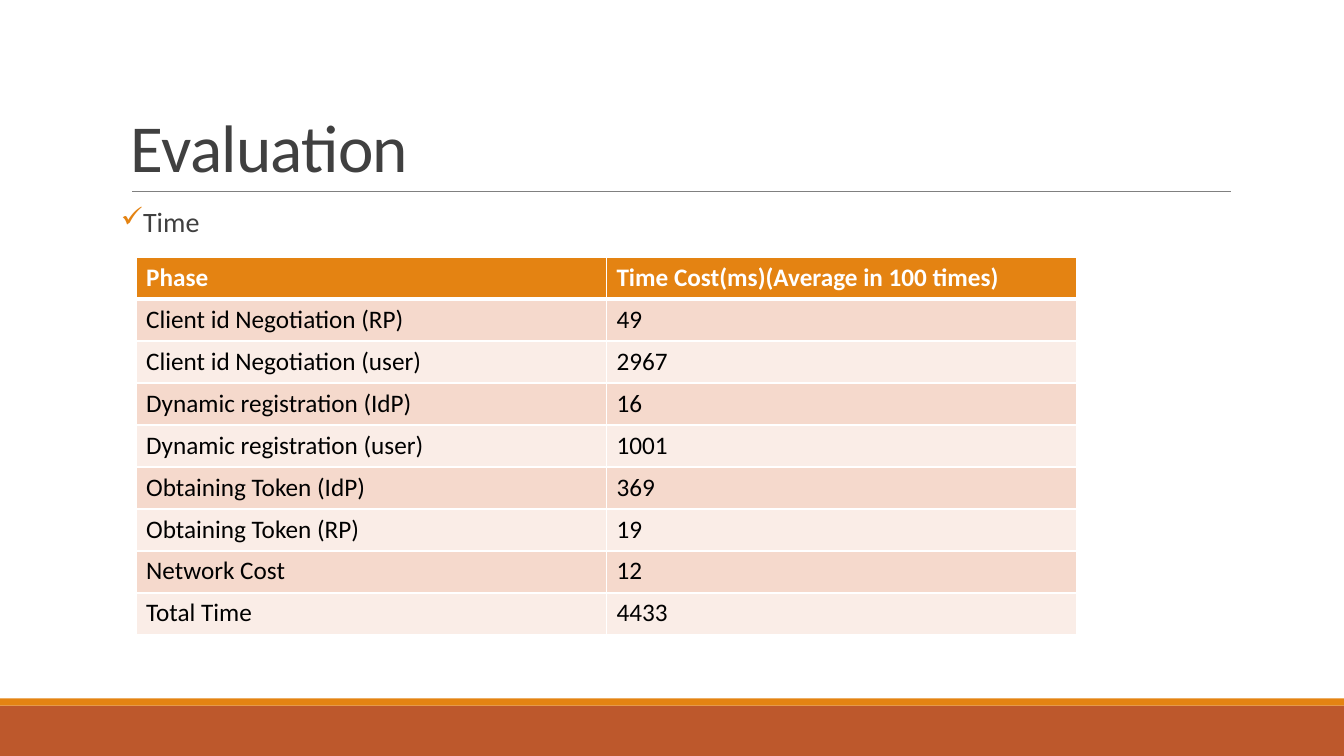
from dataclasses import dataclass

from lxml.etree import SubElement
from pptx import Presentation
from pptx.dml.color import RGBColor
from pptx.enum.shapes import MSO_CONNECTOR, MSO_SHAPE
from pptx.enum.text import MSO_ANCHOR
from pptx.oxml.ns import qn
from pptx.util import Inches, Pt


@dataclass(frozen=True)
class Theme:
    font: str = "Calibri"
    text: str = "404040"
    accent: str = "E48312"
    footer: str = "BD582C"
    rule: str = "808080"
    white: str = "FFFFFF"
    black: str = "000000"
    bands: tuple = ("F5D9CC", "FAEDE7")
    title_size: int = 48
    body_size: int = 20
    table_size: int = 18


THEME = Theme()

PHASE_COSTS = [
    ("Phase", "Time Cost(ms)(Average in 100 times)"),
    ("Client id Negotiation (RP)", "49"),
    ("Client id Negotiation (user)", "2967"),
    ("Dynamic registration (IdP)", "16"),
    ("Dynamic registration (user)", "1001"),
    ("Obtaining Token (IdP)", "369"),
    ("Obtaining Token (RP)", "19"),
    ("Network Cost", "12"),
    ("Total Time", "4433"),
]


def inches(box):
    return [Inches(length) for length in box]


def add_span(para, text, size, color, bold=False):
    span = para.add_run()
    span.text = text
    span.font.name = THEME.font
    span.font.size = Pt(size)
    span.font.bold = bold
    span.font.color.rgb = RGBColor.from_string(color)
    return span


def add_band(page, box, color):
    band = page.shapes.add_shape(MSO_SHAPE.RECTANGLE, *inches(box))
    band.shadow.inherit = False
    band.fill.solid()
    band.fill.fore_color.rgb = RGBColor.from_string(color)
    band.line.fill.background()


def add_footer(page, box, stripe=0.07):
    """Draw the footer band with a thin accent stripe on top of it."""
    left, top, width, height = box
    add_band(page, (left, top + stripe, width, height - stripe), THEME.footer)
    add_band(page, (left, top, width, stripe), THEME.accent)


def add_title(page, box, text):
    """Place the title at the bottom of its box, with a rule beneath."""
    left, top, width, height = box
    rule_left, rule_right, rule_top = left + 0.11, left + width + 0.01, top + height
    rule = page.shapes.add_connector(
        MSO_CONNECTOR.STRAIGHT, *inches((rule_left, rule_top, rule_right, rule_top)))
    rule.line.color.rgb = RGBColor.from_string(THEME.rule)
    rule.line.width = Pt(0.5)
    SubElement(rule._element.spPr, qn("a:effectLst"))

    frame = page.shapes.add_textbox(*inches(box)).text_frame
    frame.word_wrap = True
    frame.vertical_anchor = MSO_ANCHOR.BOTTOM
    para = frame.paragraphs[0]
    para.line_spacing = 0.85
    span = add_span(para, text, THEME.title_size, THEME.text)
    span.font._element.set("spc", "-50")


def set_check_bullet(para):
    properties = para._p.get_or_add_pPr()
    properties.set("marL", str(Inches(0.1)))
    properties.set("indent", str(-Inches(0.1)))
    color = SubElement(properties, qn("a:buClr"))
    SubElement(color, qn("a:srgbClr"), val=THEME.accent)
    SubElement(properties, qn("a:buChar"), char="✓")


def add_body(page, box, text):
    frame = page.shapes.add_textbox(*inches(box)).text_frame
    frame.word_wrap = True
    frame.margin_left = frame.margin_right = 0
    para = frame.paragraphs[0]
    para.line_spacing = 0.9
    para.space_before = Pt(12)
    para.space_after = Pt(2)
    set_check_bullet(para)
    add_span(para, text, THEME.body_size, THEME.text)


def set_border(cell, side, points):
    line = SubElement(cell._tc.get_or_add_tcPr(), qn(f"a:ln{side}"), w=str(Pt(points)))
    fill = SubElement(line, qn("a:solidFill"))
    SubElement(fill, qn("a:srgbClr"), val=THEME.white)


def add_cost_table(page, box, records):
    columns = len(records[0])
    table = page.shapes.add_table(len(records), columns, *inches(box)).table
    for column in table.columns:
        column.width = Inches(box[2] / columns)
    for row, record in enumerate(records):
        table.rows[row].height = Inches(box[3] / len(records))
        header = row == 0
        fill = THEME.accent if header else THEME.bands[(row - 1) % 2]
        for column, text in enumerate(record):
            cell = table.cell(row, column)
            for side in "LRTB":
                thick = (header and side == "B") or (row == 1 and side == "T")
                set_border(cell, side, 3 if thick else 1)
            cell.fill.solid()
            cell.fill.fore_color.rgb = RGBColor.from_string(fill)
            add_span(cell.text_frame.paragraphs[0], text, THEME.table_size,
                     THEME.white if header else THEME.black, header)


def main():
    deck = Presentation()
    deck.slide_width, deck.slide_height = Inches(13.33), Inches(7.5)
    page = deck.slides.add_slide(deck.slide_layouts[6])
    add_footer(page, (0, 6.93, 13.33, 0.57))
    add_title(page, (1.2, 0.31, 11, 1.59), "Evaluation")
    add_body(page, (1.2, 2.02, 11, 4.4), "Time")
    add_cost_table(page, (1.35, 2.55, 9.33, 3.75), PHASE_COSTS)
    deck.save("out.pptx")


if __name__ == "__main__":
    main()
